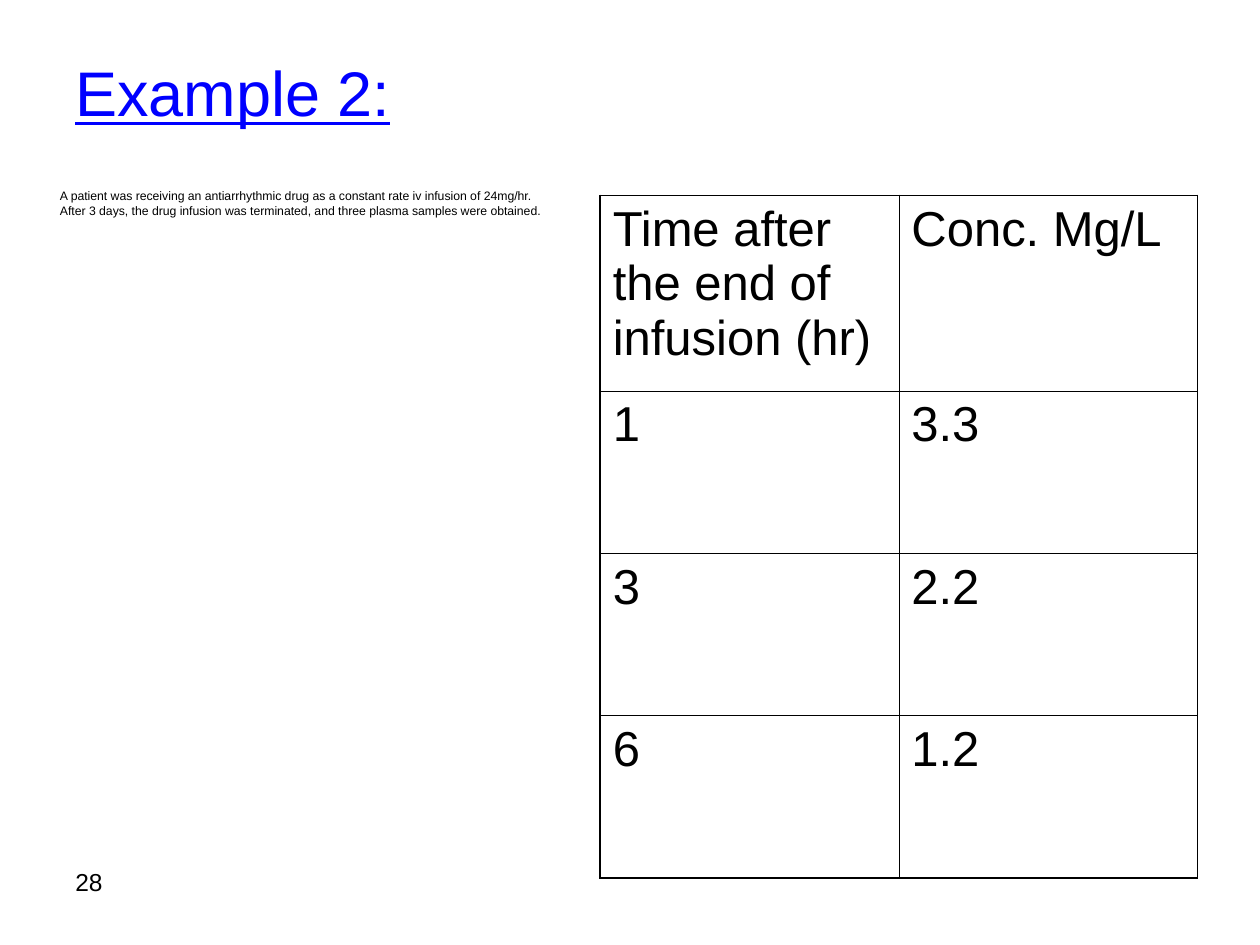
from lxml import etree
from pptx import Presentation
from pptx.dml.color import RGBColor
from pptx.enum import text
from pptx.oxml import ns
from pptx.util import Cm, Pt

BLACK = RGBColor(0, 0, 0)
BLUE = RGBColor(0, 0, 255)
OUTER_LINE = Pt(1.08)
INNER_LINE = Pt(0.45)

SAMPLES = [
    ("Time after the end of infusion (hr)", "Conc. Mg/L"),
    ("1", "3.3"),
    ("3", "2.2"),
    ("6", "1.2"),
]


def style(paragraph, size, color=BLACK):
    paragraph.font.name = "Arial"
    paragraph.font.size = Pt(size)
    paragraph.font.color.rgb = color


def add_text(slide, box, wording, size, color=BLACK, anchor=text.MSO_ANCHOR.TOP):
    frame = slide.shapes.add_textbox(*box).text_frame
    frame.word_wrap = True
    frame.vertical_anchor = anchor
    paragraph = frame.paragraphs[0]
    paragraph.text = wording
    style(paragraph, size, color)
    return paragraph


def add_heading(slide, box):
    heading = add_text(slide, box, "Example 2:", 36, BLUE, text.MSO_ANCHOR.MIDDLE)
    heading.font.underline = True


def add_case(slide, box):
    add_text(
        slide, box,
        "A patient was receiving an antiarrhythmic drug as a constant rate iv "
        "infusion of 24mg/hr. After 3 days, the drug infusion was terminated, "
        "and three plasma samples were obtained.", 7)


def add_page_number(slide, box):
    add_text(slide, box, "28", 14)


def set_borders(cell, outer_sides):
    properties = cell._tc.get_or_add_tcPr()
    for position, (side, is_outer) in enumerate(outer_sides.items()):
        width = OUTER_LINE if is_outer else INNER_LINE
        line = etree.Element(ns.qn(f"a:ln{side}"), w=str(int(width)))
        fill = etree.SubElement(line, ns.qn("a:solidFill"))
        etree.SubElement(fill, ns.qn("a:srgbClr"), val=str(BLACK))
        properties.insert(position, line)


def add_samples(slide, box):
    left, top, width, height = box
    rows, columns = len(SAMPLES), len(SAMPLES[0])
    table = slide.shapes.add_table(rows, columns, left, top, width, height).table
    table.first_row = False
    table.horz_banding = False
    header_height = Cm(3.95)
    for index, row in enumerate(table.rows):
        row.height = header_height if index == 0 else (height - header_height) // (rows - 1)
    for r, sample in enumerate(SAMPLES):
        for c, wording in enumerate(sample):
            cell = table.cell(r, c)
            cell.text = wording
            cell.fill.background()
            style(cell.text_frame.paragraphs[0], 28)
            set_borders(cell, {"L": c == 0, "R": c == columns - 1,
                               "T": r == 0, "B": r == rows - 1})


def main():
    deck = Presentation()
    deck.slide_width, deck.slide_height = Cm(25.4), Cm(19.05)
    slide = deck.slides.add_slide(deck.slide_layouts[6])
    add_page_number(slide, (Cm(1.27), Cm(17.35), Cm(5.92), Cm(1.32)))
    add_heading(slide, (Cm(1.27), Cm(0.76), Cm(22.86), Cm(2.16)))
    add_case(slide, (Cm(0.96), Cm(3.68), Cm(10.27), Cm(0.9)))
    add_samples(slide, (Cm(12.1), Cm(3.94), Cm(12.04), Cm(13.76)))
    deck.save("out.pptx")


if __name__ == "__main__":
    main()
